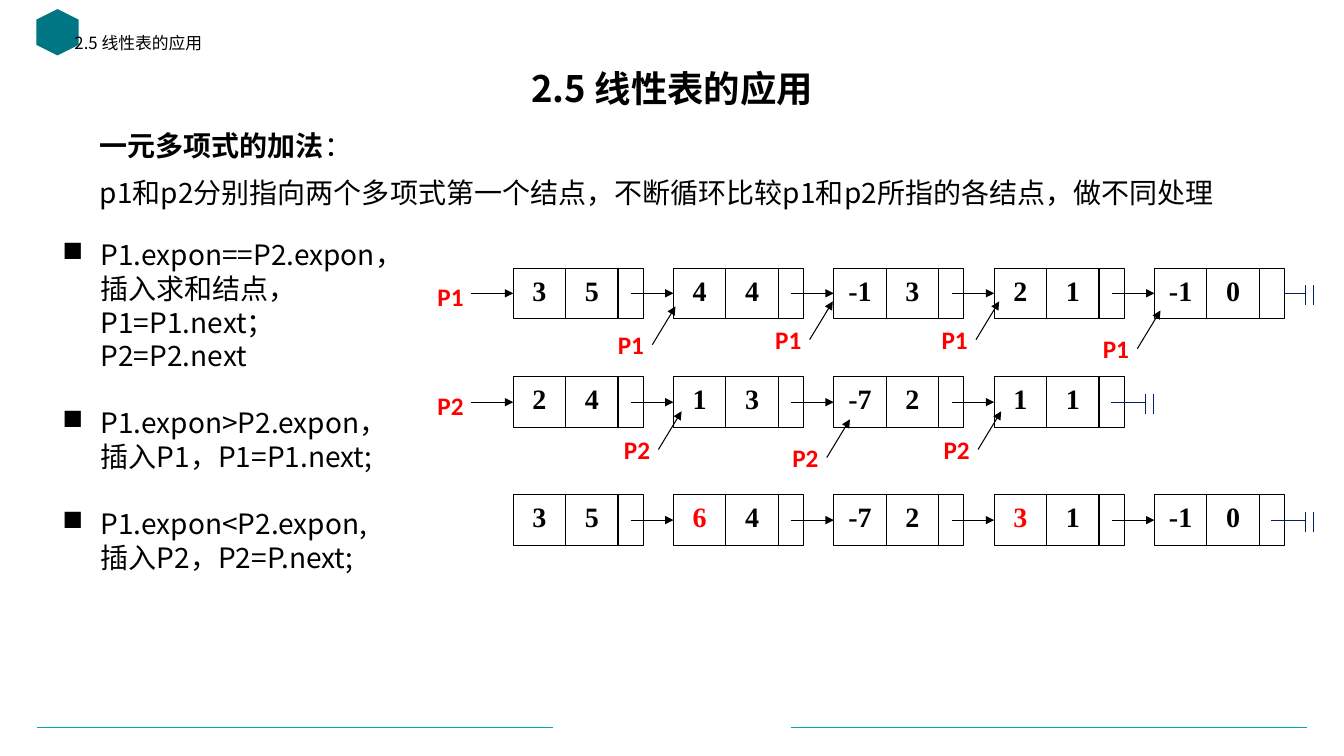
from pptx import Presentation
from pptx.dml.color import RGBColor
from pptx.enum.shapes import MSO_CONNECTOR as Link, MSO_SHAPE as Kind
from pptx.enum.text import MSO_ANCHOR as Anchor, PP_ALIGN as Align
from pptx.oxml.ns import qn
from pptx.util import Inches, Pt
from lxml.etree import SubElement as Sub

SANS = "Noto Sans CJK SC"
BLACK, RED, NAVY, TEAL = "000000", "FF0000", "002060", "00ABA5"
PITCH, CELL, TAIL, HIGH = 1.59, 0.52, 0.25, 0.5


def color(code):
    return RGBColor.from_string(code)


def style(par, size, face=SANS, code=BLACK, bold=False):
    font = par.font
    font.size, font.name, font.bold = Pt(size), face, bold
    font.color.rgb = color(code)
    props = par._p.get_or_add_pPr().find(qn("a:defRPr"))
    Sub(props, qn("a:ea")).set("typeface", face)


def text_box(slide, box, anchor=Anchor.TOP):
    frame = slide.shapes.add_textbox(*map(Inches, box)).text_frame
    frame.word_wrap = True
    frame.vertical_anchor = anchor
    return frame


def line(slide, start, end, code=BLACK, width=0.75, arrow=False):
    link = slide.shapes.add_connector(Link.STRAIGHT, *map(Inches, (*start, *end)))
    link.line.color.rgb = color(code)
    link.line.width = Pt(width)
    if arrow:
        Sub(link.line._get_or_add_ln(), qn("a:tailEnd")).set("type", "triangle")
    Sub(link._element.spPr, qn("a:effectLst"))
    return link


def cell(slide, box, label="", code=BLACK):
    rect = slide.shapes.add_shape(Kind.RECTANGLE, *map(Inches, box))
    rect.shadow.inherit = False
    rect.fill.solid()
    rect.fill.fore_color.rgb = color("FFFFFF")
    rect.line.color.rgb = color(BLACK)
    rect.line.width = Pt(0.75)
    if label:
        rect.text_frame.vertical_anchor = Anchor.TOP
        par = rect.text_frame.paragraphs[0]
        par.text, par.alignment = label, Align.CENTER
        style(par, 20, "Times New Roman", code, True)
    return rect


def node(slide, left, top, pair, code):
    coef, expon = pair
    head = cell(slide, (left, top, CELL, HIGH), coef, code)
    cell(slide, (left + CELL, top, CELL, HIGH), expon)
    cell(slide, (left + 2 * CELL, top, TAIL, HIGH))
    return head


def ground(slide, left, top, stub):
    mid, bar = top + HIGH / 2, left + 1.5
    line(slide, (left + stub, mid), (bar, mid), NAVY, 0.5)
    for x in (bar, bar + 0.08):
        line(slide, (x, top + 0.17), (x, top + 0.37), NAVY, 0.5)


def chain(slide, left, top, pairs, stub=1.16, red=()):
    mid = top + HIGH / 2
    spots = [left + i * PITCH for i in range(len(pairs))]
    heads = [node(slide, x, top, pair, RED if i in red else BLACK)
             for i, (x, pair) in enumerate(zip(spots, pairs))]
    for x, head in zip(spots, heads[1:]):
        link = line(slide, (x + 1.17, mid), (x + PITCH, mid), arrow=True)
        link.end_connect(head, 1)
    ground(slide, spots[-1], top, stub)
    return heads[0]


def tag(slide, left, top, name):
    par = text_box(slide, (left, top, 0.6, 0.4)).paragraphs[0]
    par.text = name
    style(par, 18, "Calibri", RED, True)


def entry(slide, left, top, name, head):
    tag(slide, left - 0.85, top + 0.08, name)
    mid = top + HIGH / 2
    link = line(slide, (left - 0.42, mid), (left, mid), arrow=True)
    link.end_connect(head, 1)


def steps(slide, name, spots):
    for left, top in spots:
        tag(slide, left, top, name)
        line(slide, (left + 0.44, top + 0.2), (left + 0.67, top - 0.18), arrow=True)


def lists(slide, left, top):
    first = [("3", "5"), ("4", "4"), ("-1", "3"), ("2", "1"), ("-1", "0")]
    second = [("2", "4"), ("1", "3"), ("-7", "2"), ("1", "1")]
    total = [("3", "5"), ("6", "4"), ("-7", "2"), ("3", "1"), ("-1", "0")]
    low = top + 1.08
    entry(slide, left, top, "P1", chain(slide, left, top, first, 1.29))
    entry(slide, left, low, "P2", chain(slide, left, low, second))
    chain(slide, left, top + 2.25, total, red=(1, 3))
    steps(slide, "P1", [(left + x, top + y) for x, y in
                        ((0.94, 0.56), (2.5, 0.51), (4.15, 0.51), (5.75, 0.6))])
    steps(slide, "P2", [(left + x, low + y) for x, y in
                        ((1, 0.52), (2.67, 0.6), (4.17, 0.52))])


def header(slide, left, top):
    mark = slide.shapes.add_shape(Kind.HEXAGON, *map(Inches, (left, top, 0.46, 0.42)))
    mark.rotation = 90
    mark.shadow.inherit = False
    mark.fill.solid()
    mark.fill.fore_color.rgb = color("007684")
    mark.line.fill.background()
    name = "2.5 线性表的应用"
    title = text_box(slide, (left + 0.58, top + 0.51, 11.5, 0.57), Anchor.MIDDLE)
    small = text_box(slide, (left + 0.3, top + 0.19, 5.32, 0.36))
    for frame, size, bold in ((title, 26, True), (small, 12, False)):
        par = frame.paragraphs[0]
        par.text, par.line_spacing = name, 0.9
        style(par, size, bold=bold)
    title.paragraphs[0].alignment = Align.CENTER


def intro(slide, box):
    frame = text_box(slide, box)
    topic = frame.paragraphs[0]
    topic.line_spacing = 1.1
    for words, bold in (("一元多项式的加法", True), ("：", False)):
        run = topic.add_run()
        run.text, run.font.bold = words, bold
    style(topic, 20)
    par = frame.add_paragraph()
    par.text = "p1和p2分别指向两个多项式第一个结点，不断循环比较p1和p2所指的各结点，做不同处理"
    par.line_spacing = 1.4
    style(par, 20)


def rules(slide, box):
    frame = text_box(slide, box)
    cases = ["P1.expon==P2.expon，\v插入求和结点，\vP1=P1.next；\vP2=P2.next",
             "P1.expon>P2.expon，\v插入P1，P1=P1.next;",
             "P1.expon<P2.expon,\v插入P2，P2=P.next;"]
    for i, case in enumerate(cases):
        par = frame.add_paragraph() if i else frame.paragraphs[0]
        par.text = case
        if i:
            par.space_before = Pt(24)
        props = par._p.get_or_add_pPr()
        props.set("marL", str(Inches(0.38)))
        props.set("indent", str(-Inches(0.38)))
        Sub(props, qn("a:buChar")).set("char", "■")
        style(par, 20)


def footer(slide, top):
    for left in (0.37, 7.85):
        line(slide, (left, top), (left + 5.11, top), TEAL, 0.5)


def main():
    deck = Presentation()
    deck.slide_width, deck.slide_height = Inches(13.33), Inches(7.5)
    slide = deck.slides.add_slide(deck.slide_layouts[6])
    footer(slide, 7.22)
    header(slide, 0.34, 0.11)
    intro(slide, (0.89, 1.19, 11.84, 1.12))
    rules(slide, (0.52, 2.31, 3.81, 3.51))
    lists(slide, 5.09, 2.66)
    deck.save("out.pptx")


if __name__ == "__main__":
    main()
